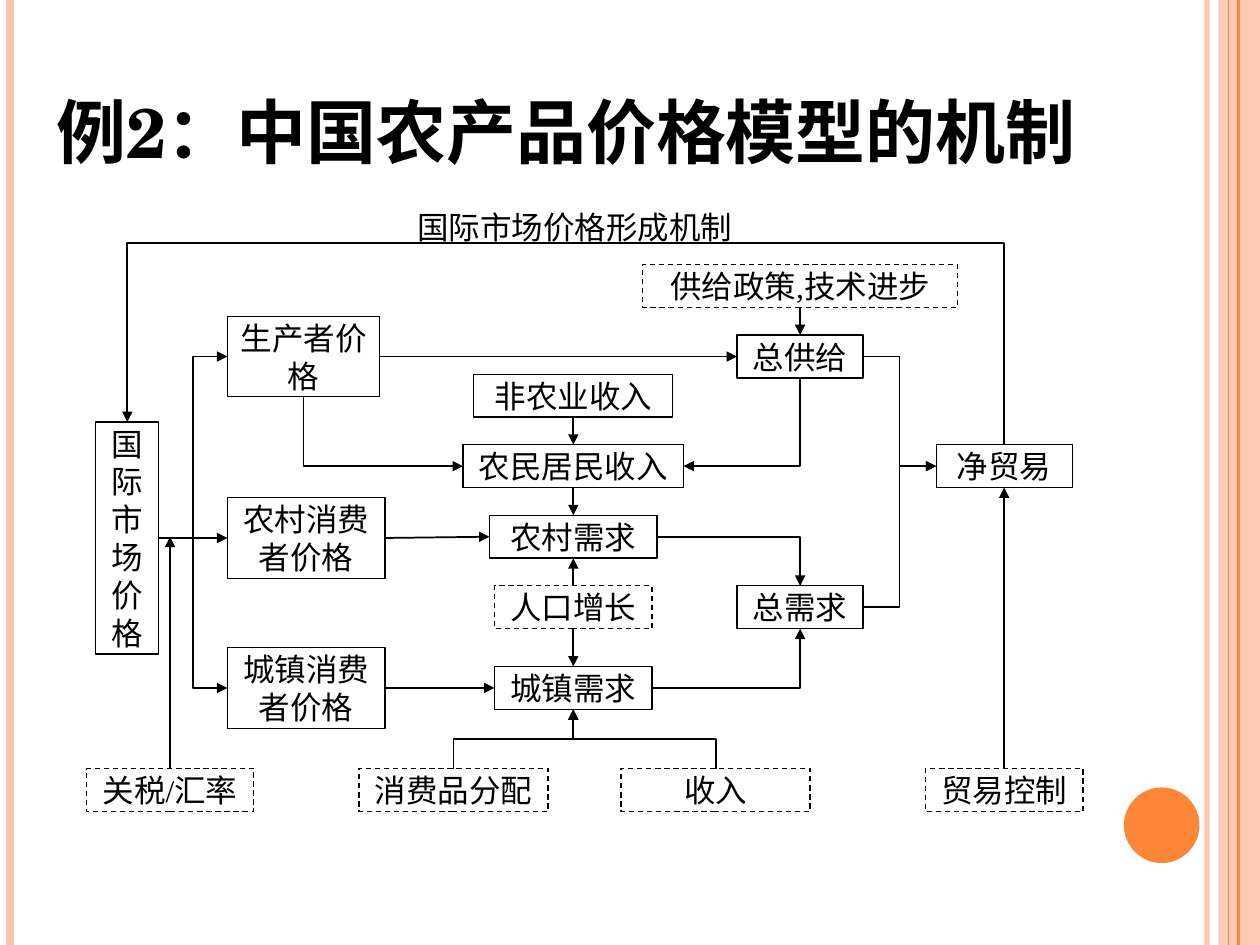
from lxml.etree import SubElement
from pptx import Presentation
from pptx.dml.color import RGBColor
from pptx.enum.dml import MSO_LINE
from pptx.enum.shapes import MSO_CONNECTOR, MSO_SHAPE
from pptx.enum.text import MSO_ANCHOR, MSO_AUTO_SIZE, PP_ALIGN
from pptx.oxml.ns import qn
from pptx.util import Inches, Pt

BLACK, ORANGE, PEACH = "000000", "FE8637", "FEC3AE"
TOP, LEFT, BOTTOM, RIGHT = range(4)


def paint(fill, color, alpha=100):
    """Make a fill solid, with alpha as percent opacity."""
    fill.solid()
    fill.fore_color.rgb = RGBColor.from_string(color)
    if alpha < 100:
        clr = fill._xPr.find(qn("a:solidFill"))[0]
        SubElement(clr, qn("a:alpha")).set("val", str(alpha * 1000))


def write(sp, text, frame, font, **paragraph):
    """Fill a shape with one black paragraph; frame and font are format dicts."""
    tf = sp.text_frame
    p = tf.paragraphs[0]
    r = p.add_run()
    r.text = text
    for target, values in ((tf, frame), (p, paragraph), (r.font, font)):
        for name, value in values.items():
            setattr(target, name, value)
    paint(r.font.fill, BLACK)


prs = Presentation()
prs.slide_width, prs.slide_height = Inches(10), Inches(7.5)
s = prs.slides.add_slide(prs.slide_layouts[6])

# Side bands
band = s.shapes.add_shape(MSO_SHAPE.RECTANGLE, Inches(9.67), 0, Inches(0.33), prs.slide_height)
disc = s.shapes.add_shape(MSO_SHAPE.OVAL, Inches(8.92), Inches(6.25), Inches(0.6), Inches(0.6))
for sp, color, alpha in ((band, PEACH, 87), (disc, ORANGE, 100)):
    paint(sp.fill, color, alpha)
    sp.line.fill.background()
    sp.shadow.inherit = False

for x, color, width, alpha in (
    (9.58, PEACH, 3, 93),
    (0.08, PEACH, 4.5, 100),
    (9.83, ORANGE, 1.5, 100),
    (9.75, ORANGE, 0.75, 100),
):
    c = s.shapes.add_connector(MSO_CONNECTOR.STRAIGHT, Inches(x), 0, Inches(x), prs.slide_height)
    paint(c.line.fill, color, alpha)
    c.line.width = Pt(width)

# Title and caption
body_font = {"name": "Times New Roman", "size": Pt(18)}
title = s.shapes.add_textbox(Inches(0.35), Inches(0.68), Inches(8.75), Inches(0.75))
write(title, "例2：中国农产品价格模型的机制",
      {"word_wrap": True, "vertical_anchor": MSO_ANCHOR.BOTTOM},
      {"name": "TeX Gyre Schola", "size": Pt(40), "bold": True}, line_spacing=0.9)
caption = s.shapes.add_textbox(Inches(3.1), Inches(1.6), Inches(2.92), Inches(0.4))
write(caption, "国际市场价格形成机制",
      {"word_wrap": True, "auto_size": MSO_AUTO_SIZE.SHAPE_TO_FIT_TEXT},
      body_font, alignment=PP_ALIGN.CENTER)

# Boxes: text, centre x, top, width, height, dashed
box_frame = {"word_wrap": True, "auto_size": MSO_AUTO_SIZE.SHAPE_TO_FIT_TEXT,
             "vertical_anchor": MSO_ANCHOR.TOP}
for side in ("left", "top", "right", "bottom"):
    box_frame["margin_" + side] = Inches(0.02)

boxes = {}
for text, cx, top, width, height, dashed in (
    ("生产者价格", 2.41, 2.51, 1.21, 0.64, False),
    ("农村消费者价格", 2.43, 3.95, 1.25, 0.64, False),
    ("城镇消费者价格", 2.43, 5.14, 1.25, 0.64, False),
    ("国际市场价格", 1.01, 3.35, 0.5, 1.84, False),
    ("总供给", 6.35, 2.66, 1, 0.34, False),
    ("非农业收入", 4.55, 2.97, 1.58, 0.34, False),
    ("农民居民收入", 4.55, 3.53, 1.75, 0.34, False),
    ("供给政策,技术进步", 6.35, 2.1, 2.5, 0.34, True),
    ("农村需求", 4.55, 4.09, 1.33, 0.34, False),
    ("人口增长", 4.55, 4.65, 1.25, 0.34, True),
    ("城镇需求", 4.55, 5.29, 1.25, 0.34, False),
    ("关税/汇率", 1.35, 6.1, 1.33, 0.34, True),
    ("消费品分配", 3.6, 6.1, 1.5, 0.34, True),
    ("贸易控制", 7.97, 6.1, 1.25, 0.34, True),
    ("总需求", 6.35, 4.65, 1, 0.34, False),
    ("净贸易", 7.97, 3.53, 1.08, 0.34, False),
    ("收入", 5.68, 6.1, 1.5, 0.34, True),
):
    sp = s.shapes.add_shape(MSO_SHAPE.RECTANGLE, Inches(cx - width / 2), Inches(top),
                            Inches(width), Inches(height))
    sp.shadow.inherit = False
    sp.fill.background()
    paint(sp.line.fill, BLACK)
    sp.line.width = Pt(0.75)
    if dashed:
        sp.line.dash_style = MSO_LINE.DASH
    write(sp, text, box_frame, body_font, alignment=PP_ALIGN.CENTER)
    boxes[text] = sp

# Flows: kind, start box and side, end box and side.
# "corner" runs level first; "corner back" has its arrowhead at the start;
# "rise" leaves upward and turns level at a share of the climb.
loop_turn = (3.53 - 1.93) / (3.53 - 3.35)
for kind, start, out, end, into, turn in (
    ("straight", "国际市场价格", RIGHT, "农村消费者价格", LEFT, None),
    ("rise", "净贸易", TOP, "国际市场价格", TOP, loop_turn),
    ("step", "国际市场价格", RIGHT, "生产者价格", LEFT, None),
    ("step", "国际市场价格", RIGHT, "城镇消费者价格", LEFT, None),
    ("straight", "关税/汇率", TOP, None, None, None),
    ("corner back", "农民居民收入", LEFT, "生产者价格", BOTTOM, None),
    ("straight", "农村消费者价格", RIGHT, "农村需求", LEFT, None),
    ("straight", "城镇消费者价格", RIGHT, "城镇需求", LEFT, None),
    ("straight", "生产者价格", RIGHT, "总供给", LEFT, None),
    ("straight", "非农业收入", BOTTOM, "农民居民收入", TOP, None),
    ("corner back", "农民居民收入", RIGHT, "总供给", BOTTOM, None),
    ("straight", "农民居民收入", BOTTOM, "农村需求", TOP, None),
    ("rise", "消费品分配", TOP, "城镇需求", BOTTOM, 0.5),
    ("rise", "收入", TOP, "城镇需求", BOTTOM, 0.5),
    ("straight", "贸易控制", TOP, "净贸易", BOTTOM, None),
    ("step", "总供给", RIGHT, "净贸易", LEFT, None),
    ("step", "总需求", RIGHT, "净贸易", LEFT, None),
    ("corner", "农村需求", RIGHT, "总需求", TOP, None),
    ("corner", "城镇需求", RIGHT, "总需求", BOTTOM, None),
    ("straight", "人口增长", BOTTOM, "城镇需求", TOP, None),
    ("straight", "人口增长", TOP, "农村需求", BOTTOM, None),
    ("straight", "供给政策,技术进步", BOTTOM, "总供给", TOP, None),
):
    shape = MSO_CONNECTOR.STRAIGHT if kind == "straight" else MSO_CONNECTOR.ELBOW
    c = s.shapes.add_connector(shape, 0, 0, Inches(1.35), Inches(4.26))
    c.begin_connect(boxes[start], out)
    if end:
        c.end_connect(boxes[end], into)
    spPr = c._element.spPr
    geom = spPr.find(qn("a:prstGeom"))
    if kind.startswith("corner"):
        geom.set("prst", "bentConnector2")
    if kind == "rise":
        dx, climb = c.end_x - c.begin_x, c.begin_y - c.end_y
        mid_x, mid_y = (c.begin_x + c.end_x) // 2, (c.begin_y + c.end_y) // 2
        c.left, c.top = mid_x - climb // 2, mid_y - abs(dx) // 2
        c.width, c.height = climb, abs(dx)
        xfrm = spPr.find(qn("a:xfrm"))
        for name, value in (("rot", 270 * 60000), ("flipH", 0), ("flipV", int(dx < 0))):
            xfrm.set(name, str(value))
        guide = SubElement(geom.find(qn("a:avLst")), qn("a:gd"))
        guide.set("name", "adj1")
        guide.set("fmla", f"val {round(turn * 100000)}")
    paint(c.line.fill, BLACK)
    c.line.width = Pt(1)
    arrow = "a:headEnd" if kind == "corner back" else "a:tailEnd"
    SubElement(spPr.find(qn("a:ln")), qn(arrow)).set("type", "triangle")

for c in s.shapes:
    if c.shape_type is not None and hasattr(c, "begin_x"):
        SubElement(c._element.spPr, qn("a:effectLst"))

prs.save("out.pptx")
